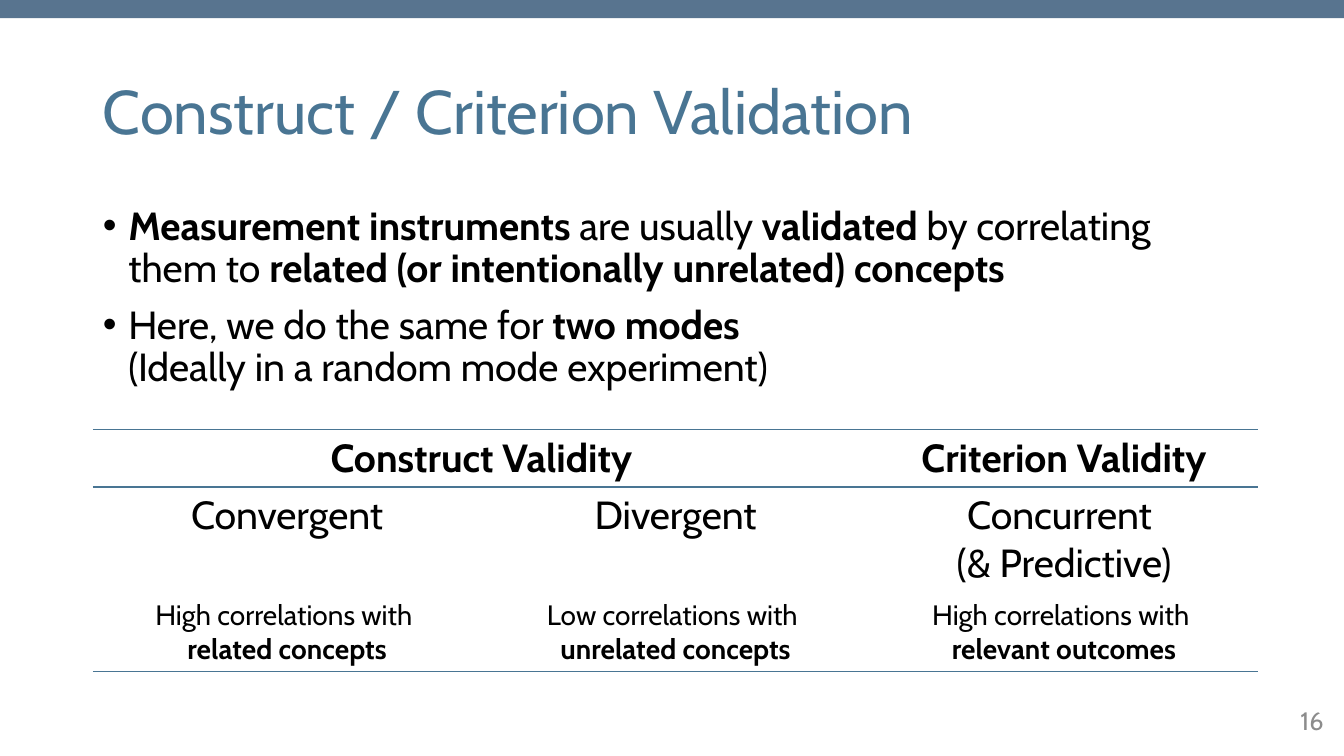
"""Builds the slide on construct and criterion validation."""
import pptx
import pptx.dml.color
import pptx.enum.shapes
import pptx.enum.text
import pptx.oxml
import pptx.oxml.ns
import pptx.util
from dataclasses import dataclass

Cm = pptx.util.Cm
Pt = pptx.util.Pt
ALIGN = pptx.enum.text.PP_ALIGN
ANCHOR = pptx.enum.text.MSO_ANCHOR
NAMESPACE = pptx.oxml.ns.nsdecls("a")


@dataclass(frozen=True)
class Theme:
    font: str = "Cabin"
    bar: str = "58748F"
    accent: str = "497593"
    text: str = "000000"
    muted: str = "8C8C8C"
    title_size: int = 44
    body_size: int = 28
    detail_size: int = 20
    number_size: int = 18


theme = Theme()


def write_spans(para, spans, size, colour, **layout):
    for name, value in layout.items():
        setattr(para, name, value)
    for text, bold in spans:
        for index, line in enumerate(text.split("\n")):
            if index:
                para.add_line_break()
            if line:
                span = para.add_run()
                span.text = line
                span.font.color.rgb = pptx.dml.color.RGBColor.from_string(colour)
                values = {"name": theme.font, "size": Pt(size), "bold": bold}
                for name, value in values.items():
                    setattr(span.font, name, value)


def place(box, left, top, width, height, anchor):
    places = {"left": left, "top": top, "width": width, "height": height}
    for name, value in places.items():
        setattr(box, name, Cm(value))
    frame = box.text_frame
    settings = {"word_wrap": True, "vertical_anchor": anchor,
                "auto_size": pptx.enum.text.MSO_AUTO_SIZE.NONE}
    for name, value in settings.items():
        setattr(frame, name, value)
    return frame


deck = pptx.Presentation()
deck.slide_width, deck.slide_height = Cm(33.87), Cm(19.05)
page = deck.slides.add_slide(deck.slide_layouts[1])

bar = page.shapes.add_shape(pptx.enum.shapes.MSO_SHAPE.RECTANGLE, 0, 0, deck.slide_width, Cm(0.46))
bar.shadow.inherit = False
bar.fill.solid()
bar.fill.fore_color.rgb = pptx.dml.color.RGBColor.from_string(theme.bar)
bar.line.fill.background()

title = place(page.shapes.title, 2.34, 1.6, 29.21, 2.59, ANCHOR.MIDDLE)
write_spans(title.paragraphs[0], [("Construct / Criterion Validation", False)],
            theme.title_size, theme.accent, alignment=ALIGN.LEFT, line_spacing=0.9)

points = [
    [("Measurement instruments ", True), ("are usually ", False), ("validated ", True),
     ("by correlating them to ", False),
     ("related (or intentionally unrelated) concepts", True)],
    [("Here, we do the same for ", False), ("two modes\n", True),
     ("(Ideally in a random mode experiment)", False)],
]
body = place(page.placeholders[1], 2.34, 5.08, 29.21, 12.09, ANCHOR.TOP)
for index, spans in enumerate(points):
    para = body.add_paragraph() if index else body.paragraphs[0]
    properties = para._p.get_or_add_pPr()
    properties.set("marL", str(Cm(0.64)))
    properties.set("indent", str(-Cm(0.64)))
    for bullet in ('<a:buFont %s typeface="Arial"/>', '<a:buChar %s char="•"/>'):
        properties.append(pptx.oxml.parse_xml(bullet % NAMESPACE))
    write_spans(para, spans, theme.body_size, theme.text,
                line_spacing=0.9, space_before=Pt(10 if index else 0))

rows = [
    [[("Construct Validity", True)], [], [("Criterion Validity", True)]],
    [[("Convergent", False)], [("Divergent", False)], [("Concurrent \n(& Predictive)", False)]],
    [[("High correlations with \n", False), ("related concepts", True)],
     [("Low correlations with \n", False), ("unrelated concepts", True)],
     [("High correlations with \n", False), ("relevant outcomes", True)]],
]
row_formats = [
    (1.45, theme.body_size, ("lnT", "lnB")),
    (2.67, theme.body_size, ()),
    (1.9, theme.detail_size, ("lnB",)),
]
table = page.shapes.add_table(3, 3, Cm(2.34), Cm(10.82), Cm(29.37), Cm(6.02)).table
for name in ("first_row", "horz_banding"):
    setattr(table, name, False)
style = table._tbl.tblPr.find(pptx.oxml.ns.qn("a:tableStyleId"))
style.text = "{2D5ABB26-0587-4C30-8999-92F81FD0307C}"
for column in table.columns:
    column.width = Cm(9.79)
table.cell(0, 0).merge(table.cell(0, 1))
for row, texts, (height, size, borders) in zip(table.rows, rows, row_formats):
    row.height = Cm(height)
    for cell, spans in zip(row.cells, texts):
        for border in borders:
            cell._tc.get_or_add_tcPr().append(pptx.oxml.parse_xml(
                f'<a:{border} {NAMESPACE} w="{Pt(1)}"><a:solidFill>'
                f'<a:srgbClr val="{theme.accent}"/></a:solidFill></a:{border}>'))
        cell.fill.background()
        write_spans(cell.text_frame.paragraphs[0], spans, size, theme.text,
                    alignment=ALIGN.CENTER)

number = place(page.shapes.add_textbox(0, 0, 0, 0), 23.93, 17.65, 9.68, 1.02, ANCHOR.MIDDLE)
write_spans(number.paragraphs[0], [("16", False)], theme.number_size, theme.muted,
            alignment=ALIGN.RIGHT)

deck.save("out.pptx")
